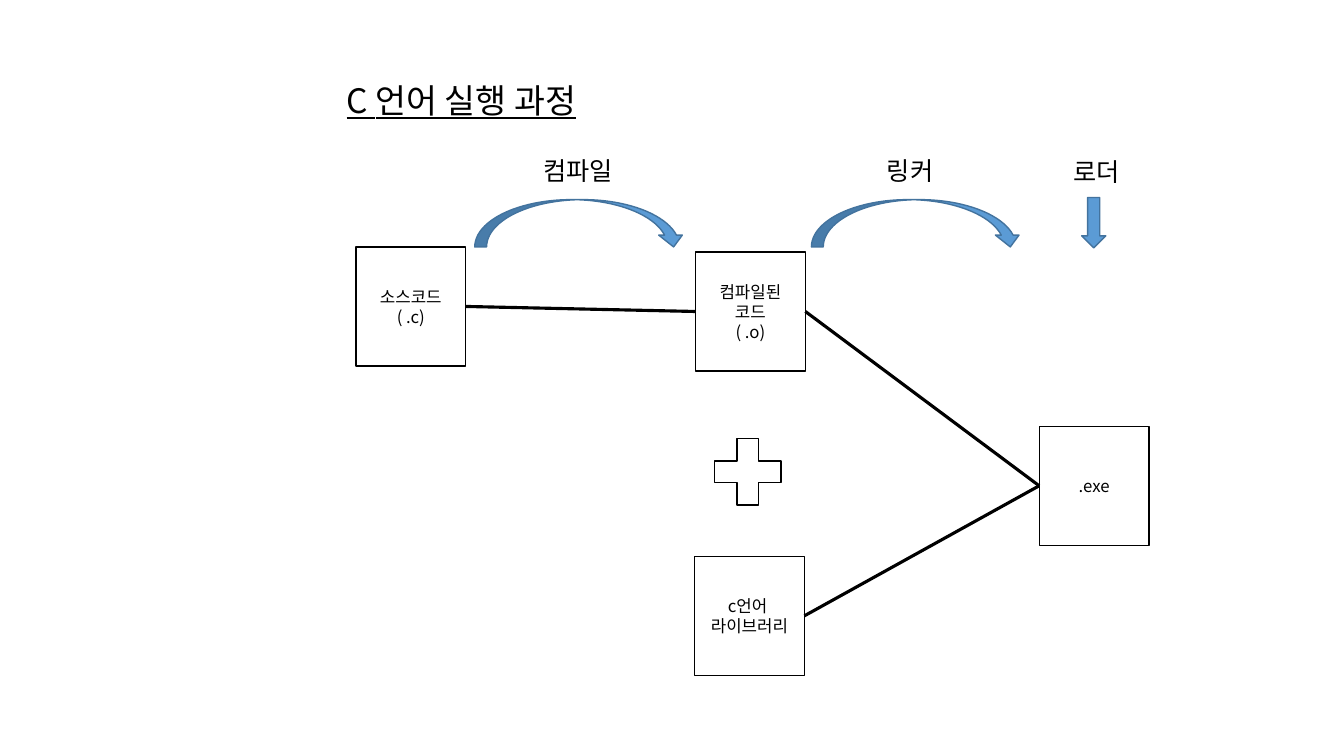
from lxml import etree
from pptx import Presentation, util as u
from pptx.dml.color import RGBColor
from pptx.enum import shapes, text
from pptx.oxml.ns import qn

Pt = u.Pt
KIND = shapes.MSO_SHAPE
ALIGN = text.PP_ALIGN

THEME = {
    "font": "Noto Sans CJK KR",
    "ink": "000000", "paper": "FFFFFF", "blue": "5B9BD5", "edge": "43739E",
    "title": 24, "label": 18, "body": 12, "thin": 1, "thick": 2.25,
}

SIZE = (960, 540)
BOX = (78.5, 85)
BOXES = {
    "exe": (742.3, 304.5, [".exe"]),
    "source": (254.2, 176.4, ["소스코드", "( .c)"]),
    "object": (496.8, 180, ["컴파일된 코드", "( .o)"]),
    "library": (496.1, 397.4, ["c언어 ", "라이브러리"]),
}
LINKS = [("source", "object"), ("object", "exe"), ("library", "exe")]
PLUS = (501.8, 304.5, 64.8, 64.8)
ARROWS = [
    (KIND.CURVED_DOWN_ARROW, (339.1, 142.6, 150.5, 33.8)),
    (KIND.CURVED_DOWN_ARROW, (579.6, 142.6, 150.5, 33.8)),
    (KIND.DOWN_ARROW, (772.6, 141.1, 17.3, 36)),
]
LABELS = [
    ("컴파일", (380.9, 107.3, 82.8, 28.8), "label"),
    ("링커", (626.4, 107.3, 60.5, 28.8), "label"),
    ("로더", (759.6, 108, 61.2, 28.8), "label"),
    ("C 언어 실행 과정", (240.5, 53.3, 202.3, 36.7), "title"),
]


def color(key):
    return RGBColor.from_string(THEME[key])


def apply(item, vals):
    for key, val in vals.items():
        setattr(item, key, val)


def write(frame, lines, size, align):
    frame.word_wrap = True
    frame.text = "\n".join(lines)
    for par in frame.paragraphs:
        par.alignment = align
        for run in par.runs:
            apply(run.font, {"size": Pt(THEME[size]), "name": THEME["font"],
                             "underline": True if size == "title" else None})
            run.font.color.rgb = color("ink")
            east = etree.SubElement(run.font._element, qn("a:ea"))
            east.set("typeface", THEME["font"])


def draw(slide, kind, area, fill, edge):
    shape = slide.shapes.add_shape(kind, *map(Pt, area))
    shape.shadow.inherit = False
    shape.fill.solid()
    shape.fill.fore_color.rgb = color(fill)
    shape.line.color.rgb = color(edge)
    shape.line.width = Pt(THEME["thin"])
    return shape


def join(slide, start, end):
    line = slide.shapes.add_connector(shapes.MSO_CONNECTOR.STRAIGHT, 0, 0, 0, 0)
    line.begin_connect(start, 3)
    line.end_connect(end, 1)
    line.line.color.rgb = color("ink")
    line.line.width = Pt(THEME["thick"])
    etree.SubElement(line._element.spPr, qn("a:effectLst"))


def main():
    deck = Presentation()
    apply(deck, dict(zip(("slide_width", "slide_height"), map(Pt, SIZE))))
    slide = deck.slides.add_slide(deck.slide_layouts[6])
    boxes = {}
    for name, (left, top, lines) in BOXES.items():
        boxes[name] = draw(slide, KIND.RECTANGLE, (left, top, *BOX), "paper", "ink")
        frame = boxes[name].text_frame
        frame.vertical_anchor = text.MSO_ANCHOR.MIDDLE
        write(frame, lines, "body", ALIGN.CENTER)
    for start, end in LINKS:
        join(slide, boxes[start], boxes[end])
    draw(slide, KIND.MATH_PLUS, PLUS, "paper", "ink")
    for kind, area in ARROWS:
        draw(slide, kind, area, "blue", "edge")
    for words, area, size in LABELS:
        frame = slide.shapes.add_textbox(*map(Pt, area)).text_frame
        write(frame, [words], size, ALIGN.LEFT)
        frame.auto_size = text.MSO_AUTO_SIZE.SHAPE_TO_FIT_TEXT
    deck.save("out.pptx")


if __name__ == "__main__":
    main()
